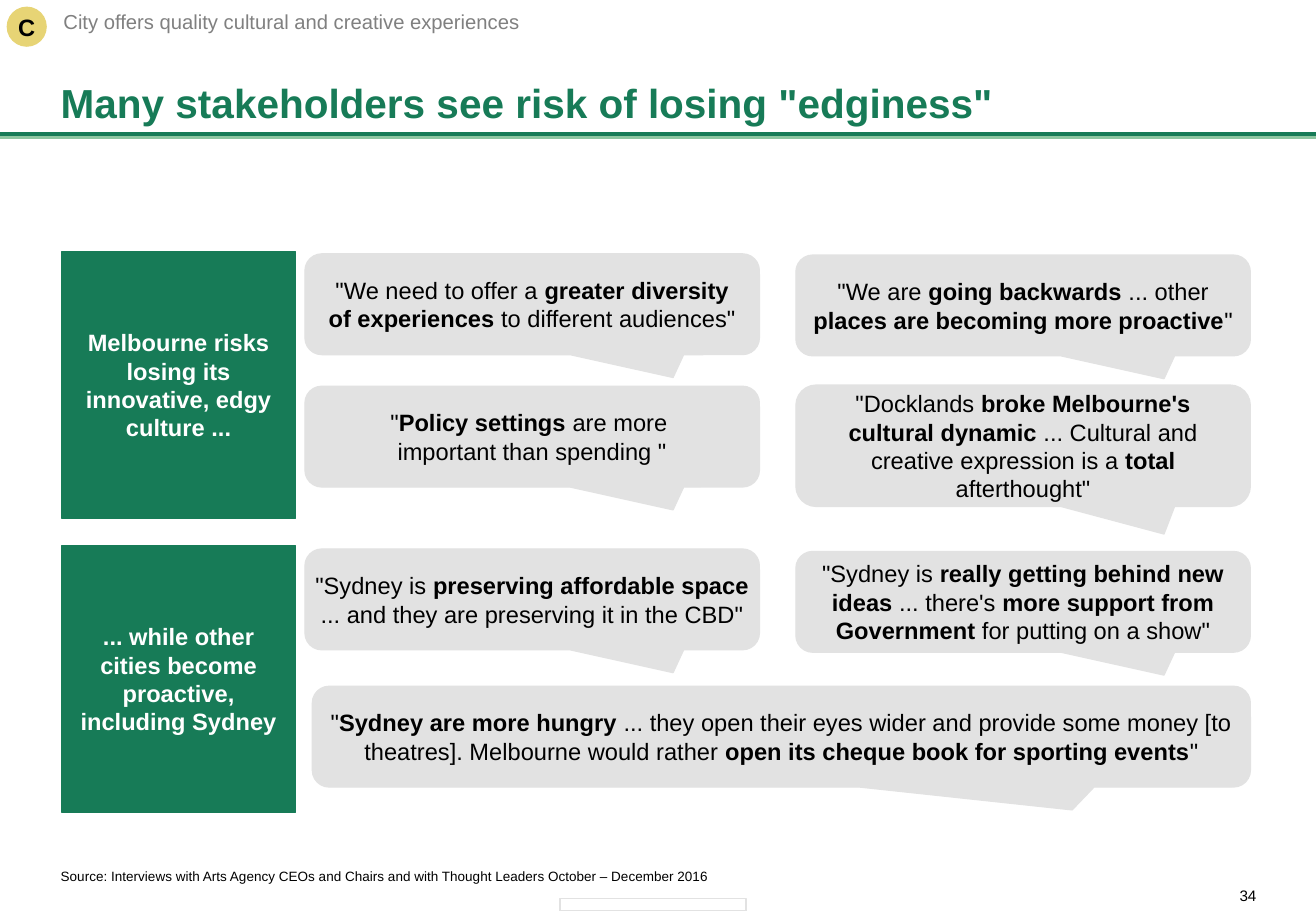
from dataclasses import dataclass

from lxml.etree import SubElement
from pptx import Presentation
from pptx.dml.color import RGBColor
from pptx.enum.shapes import MSO_CONNECTOR, MSO_SHAPE
from pptx.enum.text import MSO_ANCHOR, PP_ALIGN
from pptx.oxml.ns import qn
from pptx.util import Inches, Pt

COLORS = {
    "green": "177B57",
    "light_green": "8EC6A1",
    "grey": "E2E2E2",
    "yellow": "E7D475",
    "subtitle": "808080",
    "white": "FFFFFF",
    "black": "000000",
}
SLIDE_WIDTH = 10.83
LEFT_COLUMN, RIGHT_COLUMN, QUOTE_WIDTH = 2.51, 6.55, 3.74


@dataclass
class Style:
    size: float = 14
    color: str = "black"
    bold: bool = False
    align: PP_ALIGN = PP_ALIGN.CENTER
    anchor: MSO_ANCHOR = MSO_ANCHOR.MIDDLE
    inset_x: float = 0.1
    inset_y: float = 0.1
    wrap: bool = True
    line_spacing: float = 1.0


@dataclass
class Quote:
    """A speech bubble; text between asterisks is bold."""
    text: str
    left: float
    top: float
    width: float = QUOTE_WIDTH
    height: float = 0.83
    inset_x: float = 0.1


@dataclass
class Label:
    text: str
    left: float
    top: float
    width: float
    height: float
    style: Style


def rgb(name: str) -> RGBColor:
    return RGBColor.from_string(COLORS[name])


def write(shape, text: str, style: Style) -> None:
    frame = shape.text_frame
    frame.word_wrap = style.wrap
    frame.vertical_anchor = style.anchor
    frame.margin_left = frame.margin_right = Inches(style.inset_x)
    frame.margin_top = frame.margin_bottom = Inches(style.inset_y)
    paragraph = frame.paragraphs[0]
    paragraph.alignment = style.align
    paragraph.line_spacing = style.line_spacing
    for index, piece in enumerate(text.split("*")):
        for row, line in enumerate(piece.split("\n")):
            if row:
                paragraph.add_line_break()
            run = paragraph.add_run()
            run.text = line
            run.font.name = "Arial"
            run.font.size = Pt(style.size)
            run.font.bold = style.bold or index % 2 == 1
            run.font.color.rgb = rgb(style.color)


def add_panel(slide, kind: MSO_SHAPE, left: float, top: float, width: float,
              height: float, fill: str, line: str):
    panel = slide.shapes.add_shape(
        kind, Inches(left), Inches(top), Inches(width), Inches(height))
    panel.shadow.inherit = False
    panel.fill.solid()
    panel.fill.fore_color.rgb = rgb(fill)
    panel.line.color.rgb = rgb(line)
    panel.line.width = Pt(0.75)
    return panel


def add_quote(slide, quote: Quote) -> None:
    bubble = add_panel(slide, MSO_SHAPE.ROUNDED_RECTANGULAR_CALLOUT, quote.left,
                       quote.top, quote.width, quote.height, "grey", "grey")
    for index, value in enumerate((0.31, 0.727, 0.167)):
        bubble.adjustments[index] = value
    write(bubble, quote.text, Style(inset_x=quote.inset_x))


def add_label(slide, label: Label) -> None:
    box = slide.shapes.add_textbox(Inches(label.left), Inches(label.top),
                                   Inches(label.width), Inches(label.height))
    write(box, label.text, label.style)


def add_title_rule(slide) -> None:
    rule = slide.shapes.add_connector(MSO_CONNECTOR.STRAIGHT, Inches(SLIDE_WIDTH),
                                      Inches(1.1), 0, Inches(1.1))
    rule.line.color.rgb = rgb("green")
    rule.line.width = Pt(2.25)
    effects = SubElement(rule._element.spPr, qn("a:effectLst"))
    shadow = SubElement(effects, qn("a:outerShdw"), dist=str(Pt(2)),
                        dir="5400000", algn="ctr", rotWithShape="0")
    SubElement(shadow, qn("a:srgbClr"), val=COLORS["light_green"])


LABELS = [
    Label('Many stakeholders see risk of losing "edginess"', 0.5, 0.18, 9.83, 0.91,
          Style(24, "green", True, PP_ALIGN.LEFT, MSO_ANCHOR.BOTTOM, 0, 0.05)),
    Label("City offers quality cultural and creative experiences", 0.5, 0.08, 3.78, 0.2,
          Style(12, "subtitle", False, PP_ALIGN.RIGHT, MSO_ANCHOR.MIDDLE, 0, 0, False)),
    Label("Source: Interviews with Arts Agency CEOs and Chairs and with "
          "Thought Leaders October – December 2016", 0.5, 6.92, 9.84, 0.36,
          Style(8, "black", False, PP_ALIGN.LEFT, MSO_ANCHOR.BOTTOM, 0, 0,
                line_spacing=0.9)),
    Label("34", 10.13, 7.3, 0.21, 0.14,
          Style(9, "black", False, PP_ALIGN.RIGHT, MSO_ANCHOR.TOP, 0, 0, False)),
]

THEMES = {
    2.07: "Melbourne risks losing its innovative, edgy culture ...",
    4.49: "... while other cities become proactive, including Sydney",
}

QUOTES = [
    Quote('"We need to offer a *greater diversity of experiences *to different audiences"',
          LEFT_COLUMN, 2.09),
    Quote('"We are *going backwards *... other *places are becoming more proactive*"',
          RIGHT_COLUMN, 2.1),
    Quote('"*Policy settings *are more \nimportant than spending "', LEFT_COLUMN, 3.18),
    Quote('"Docklands *broke Melbourne\'s cultural dynamic *... Cultural and creative '
          'expression is a *total *afterthought"', RIGHT_COLUMN, 3.17, height=1),
    Quote('"Sydney is *preserving affordable space *... and they are preserving it '
          'in the CBD"', LEFT_COLUMN, 4.52, inset_x=0.04),
    Quote('"Sydney is *really getting behind new ideas *... there\'s *more support from '
          'Government *for putting on a show"', RIGHT_COLUMN, 4.54),
    Quote('"*Sydney are more hungry *... they open their eyes wider and provide some '
          'money [to theatres]. Melbourne would rather *open its cheque book for '
          'sporting events*"', 2.57, 5.65, width=7.72, inset_x=0),
]


def main() -> None:
    deck = Presentation()
    deck.slide_width, deck.slide_height = Inches(SLIDE_WIDTH), Inches(7.5)
    slide = deck.slides.add_slide(deck.slide_layouts[6])

    # Title, subtitle, source and page number
    add_title_rule(slide)
    for label in LABELS:
        add_label(slide, label)

    # Section badge
    badge = add_panel(slide, MSO_SHAPE.OVAL, 0.06, 0.06, 0.32, 0.32, "yellow", "yellow")
    write(badge, "C", Style(bold=True, inset_x=0, inset_y=0, wrap=False))

    # Themes on the left
    for top, text in THEMES.items():
        theme = add_panel(slide, MSO_SHAPE.RECTANGLE, 0.51, top, 1.92, 2.2,
                          "green", "green")
        write(theme, text, Style(color="white", bold=True))

    # Stakeholder quotes
    for quote in QUOTES:
        add_quote(slide, quote)

    # Empty footer box
    add_panel(slide, MSO_SHAPE.RECTANGLE, 4.61, 7.4, 1.53, 0.1, "white", "grey")

    deck.save("out.pptx")


if __name__ == "__main__":
    main()
